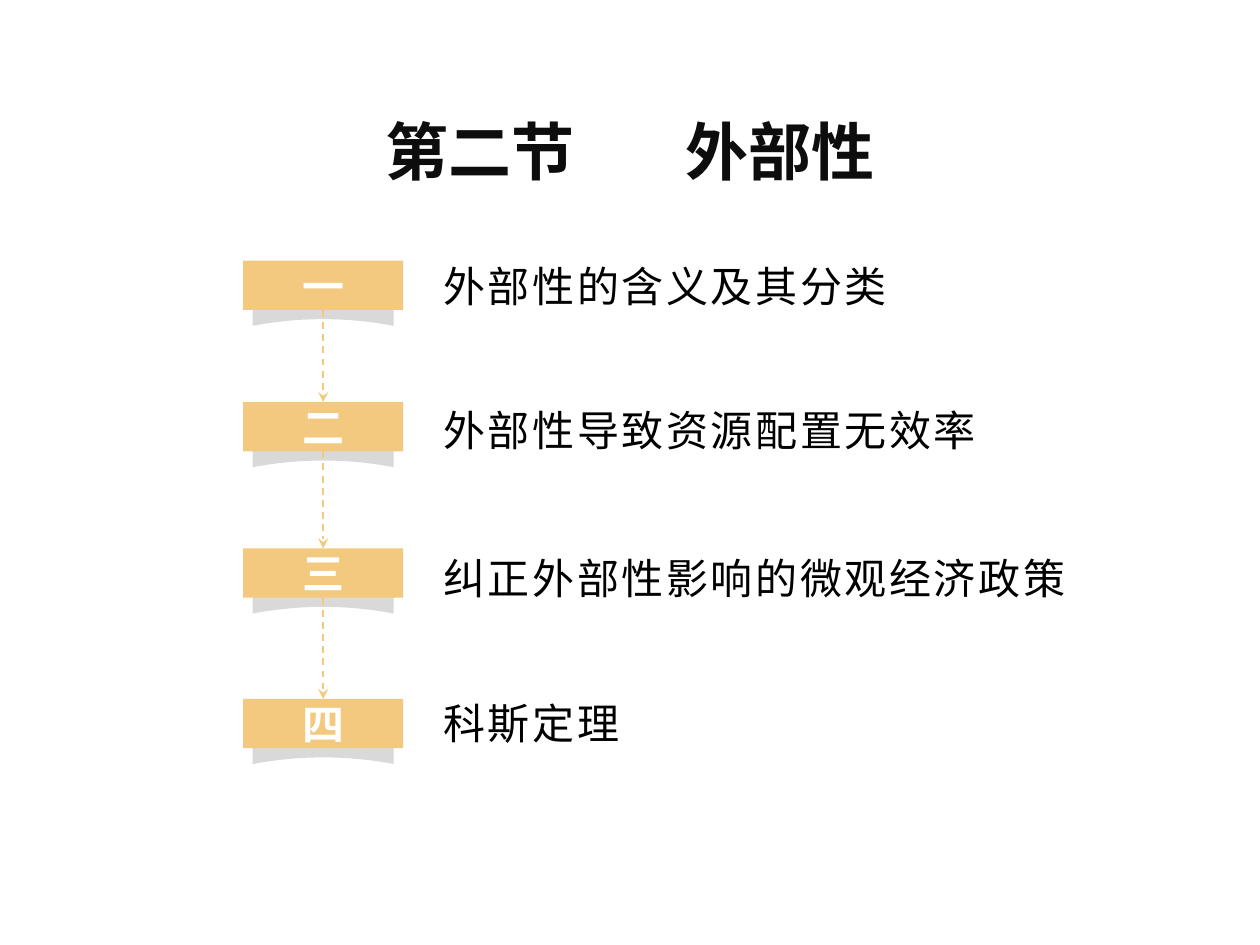
from lxml.etree import SubElement
from pptx import Presentation
from pptx.dml.color import RGBColor
from pptx.enum.dml import MSO_LINE
from pptx.enum.shapes import MSO_CONNECTOR as Connector, MSO_SHAPE as Shape
from pptx.enum.text import MSO_ANCHOR as Anchor, MSO_AUTO_SIZE as AutoSize, PP_ALIGN as Align
from pptx.oxml.ns import qn
from pptx.util import Pt

GOLD = RGBColor(0xF3, 0xC9, 0x7F)
GREY = RGBColor(0xD9, 0xD9, 0xD9)
WHITE = RGBColor(0xFF, 0xFF, 0xFF)
BLACK = RGBColor(0, 0, 0)
INK = RGBColor(0x0D, 0x0D, 0x0D)
FONT = "Noto Sans CJK SC"

BANNER_LEFT, BANNER_WIDTH, BANNER_HEIGHT = 139, 91.4, 28.1
CENTER = BANNER_LEFT + BANNER_WIDTH / 2
TOPIC_LEFT, TOPIC_HEIGHT = 246.2, 36

# number, topic, banner top, topic top, topic width
SECTIONS = [
    ("一", "外部性的含义及其分类", 149, 145.4, 272),
    ("二", "外部性导致资源配置无效率", 229.8, 227.4, 323),
    ("三", "纠正外部性影响的微观经济政策", 313.4, 312.2, 375),
    ("四", "科斯定理", 399.4, 395.2, 117),
]


def write(frame, text, size=24, color=BLACK, bold=False, align=Align.LEFT,
          anchor=Anchor.TOP, spacing=0, wrap=True, tab=None):
    frame.word_wrap = wrap
    frame.auto_size = AutoSize.NONE
    frame.vertical_anchor = anchor
    paragraph = frame.paragraphs[0]
    if tab:
        stops = SubElement(paragraph._p.get_or_add_pPr(), qn("a:tabLst"))
        SubElement(stops, qn("a:tab"), pos=str(Pt(tab)), algn="l")
    paragraph.alignment = align
    paragraph.line_spacing = 1.0
    paragraph.space_before = Pt(0)
    run = paragraph.add_run()
    run.text = text
    run.font.size = Pt(size)
    run.font.bold = bold
    run.font.color.rgb = color
    run.font.name = FONT
    properties = run._r.get_or_add_rPr()
    SubElement(properties, qn("a:ea"), typeface=FONT)
    if spacing:
        properties.set("spc", str(int(spacing * 100)))


def paint(shape, color):
    shape.shadow.inherit = False
    shape.fill.solid()
    shape.fill.fore_color.rgb = color
    shape.line.fill.background()


def add_fold(slide, top):
    """Curved grey paper edge showing below a banner."""
    half, steps = 40.3, 10
    arc = [(CENTER + half * i / steps, top + 33.4 + 3.8 * (i / steps) ** 2)
           for i in range(steps, -steps - 1, -1)]
    upper = [(CENTER - half, top + 26.6), (CENTER, top + 23.6), (CENTER + half, top + 26.6)]
    start, *others = [(Pt(x), Pt(y)) for x, y in arc + upper]
    builder = slide.shapes.build_freeform(*start)
    builder.add_line_segments(others, close=True)
    paint(builder.convert_to_shape(), GREY)


def add_banner(slide, number, top):
    banner = slide.shapes.add_shape(Shape.RECTANGLE, Pt(BANNER_LEFT), Pt(top),
                                    Pt(BANNER_WIDTH), Pt(BANNER_HEIGHT))
    paint(banner, GOLD)
    write(banner.text_frame, number, color=WHITE, bold=True, align=Align.CENTER,
          anchor=Anchor.MIDDLE, spacing=1.5)
    return banner


def add_topic(slide, topic, top, width):
    box = slide.shapes.add_textbox(Pt(TOPIC_LEFT), Pt(top), Pt(width), Pt(TOPIC_HEIGHT))
    write(box.text_frame, topic, spacing=1.5, wrap=False)


def add_arrow(slide, upper, lower):
    arrow = slide.shapes.add_connector(Connector.STRAIGHT, 0, 0, 0, 0)
    arrow.begin_connect(upper, 2)
    arrow.end_connect(lower, 0)
    arrow.line.color.rgb = GOLD
    arrow.line.width = Pt(1)
    arrow.line.dash_style = MSO_LINE.DASH
    SubElement(arrow.line._get_or_add_ln(), qn("a:tailEnd"), type="stealth")
    SubElement(arrow._element.spPr, qn("a:effectLst"))


def add_title(slide, text):
    title = slide.shapes.title
    title.left, title.top, title.width, title.height = Pt(213), Pt(60.5), Pt(300), Pt(46)
    write(title.text_frame, text, size=36, color=INK, bold=True, tab=171.4)


def main():
    deck = Presentation()
    deck.slide_width, deck.slide_height = Pt(720), Pt(540)
    slide = deck.slides.add_slide(deck.slide_layouts[5])

    # Numbered banners with their folds
    banners = []
    for number, _, top, _, _ in SECTIONS:
        add_fold(slide, top)
        banners.append(add_banner(slide, number, top))

    # Arrows from each banner to the next
    for upper, lower in zip(banners, banners[1:]):
        add_arrow(slide, upper, lower)

    # Topics and heading
    for _, topic, _, top, width in SECTIONS:
        add_topic(slide, topic, top, width)
    add_title(slide, "第二节\t外部性")

    deck.save("out.pptx")


if __name__ == "__main__":
    main()
